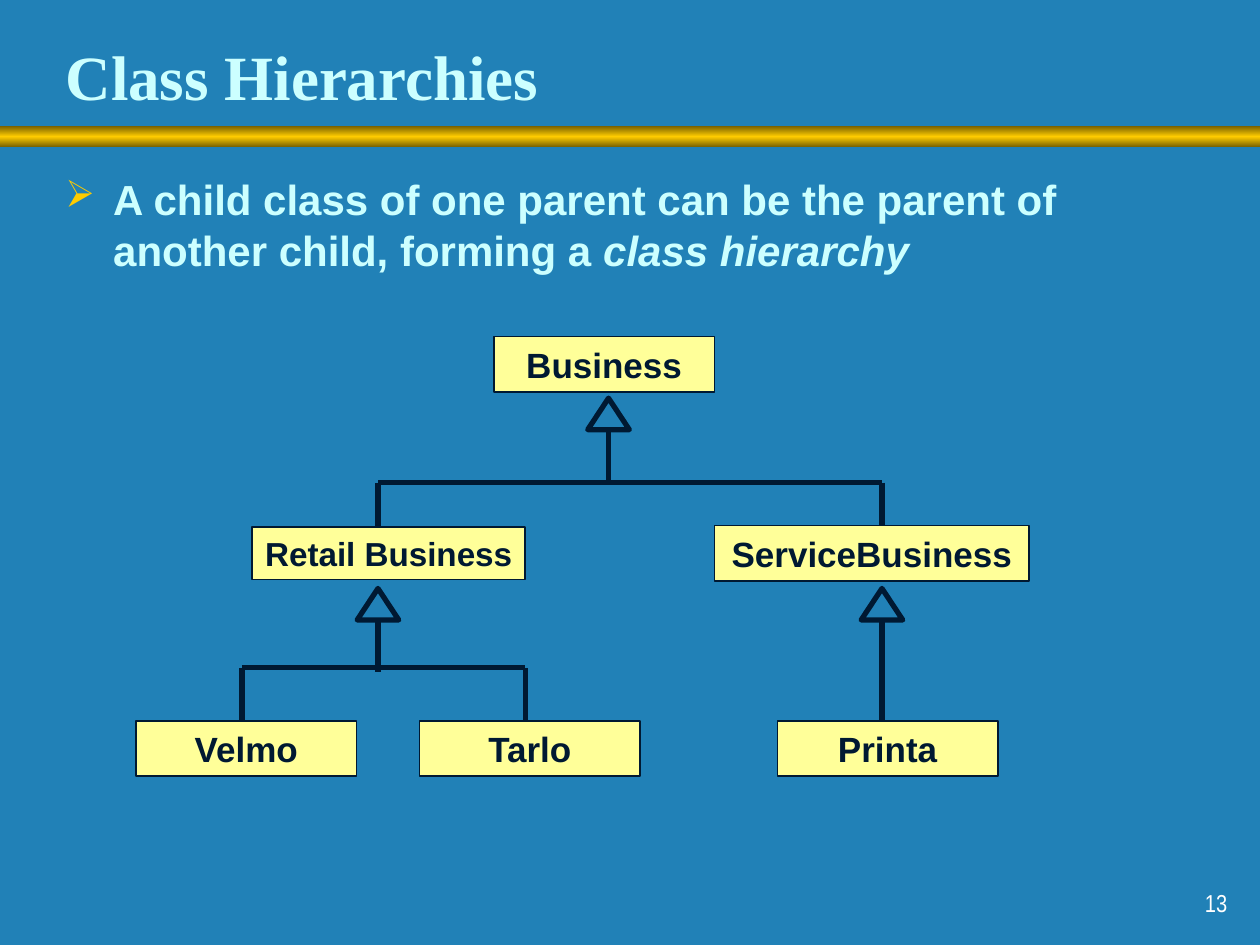
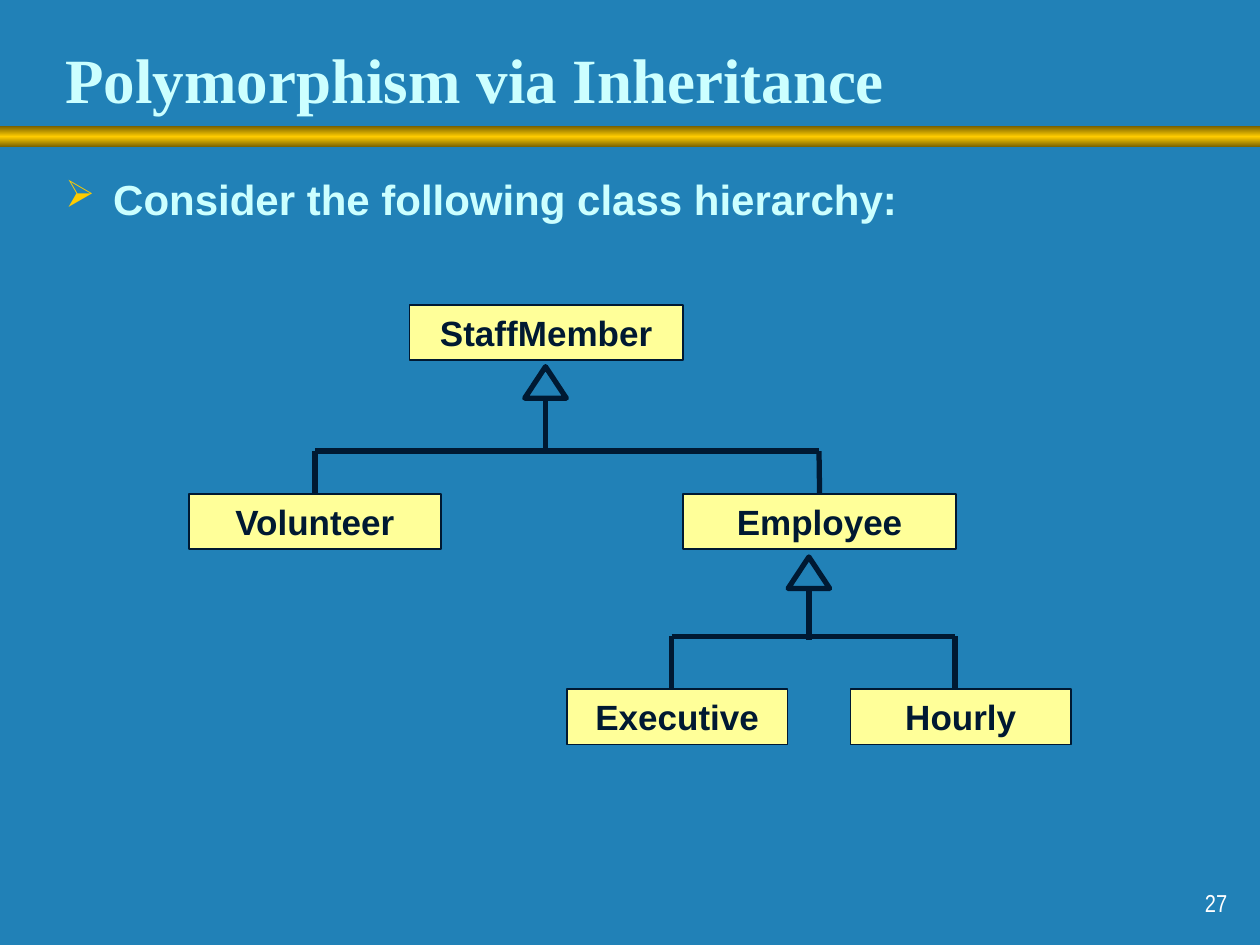
from copy import deepcopy

from lxml import etree
from pptx import Presentation
from pptx.dml.color import RGBColor
from pptx.enum.shapes import MSO_CONNECTOR, MSO_SHAPE
from pptx.enum.text import MSO_ANCHOR, MSO_AUTO_SIZE, PP_ALIGN
from pptx.oxml.ns import qn
from pptx.util import Inches, Pt

STRAIGHT = MSO_CONNECTOR.STRAIGHT
RECTANGLE, TRIANGLE = MSO_SHAPE.RECTANGLE, MSO_SHAPE.ISOSCELES_TRIANGLE
TOP, MIDDLE, BOTTOM = MSO_ANCHOR.TOP, MSO_ANCHOR.MIDDLE, MSO_ANCHOR.BOTTOM
LEFT, CENTER, RIGHT = PP_ALIGN.LEFT, PP_ALIGN.CENTER, PP_ALIGN.RIGHT

BLUE = RGBColor(0x21, 0x81, 0xB7)
PALE = RGBColor(0xCC, 0xFF, 0xFF)
GOLD = RGBColor(0xFF, 0xCC, 0x00)
DARK_GOLD = RGBColor(0x75, 0x5E, 0x00)
YELLOW = RGBColor(0xFF, 0xFF, 0x99)
NAVY = RGBColor(0x00, 0x19, 0x32)
WHITE = RGBColor(0xFF, 0xFF, 0xFF)

# Vertical places in a tree, in inches below its top
ROW_TOPS = (0, 1.5, 3.05)
ARROW_TOPS = (0.49, 2.0)
BAR_TOPS = (1.16, 2.63)
STEM_OVERLAPS = (0, 0.03)
BOX_HEIGHT = 0.44
ARROW_WIDTH, ARROW_HEIGHT = 0.33, 0.25

# classes: name, row, left, width
# branches: parent row, arrow centre, {child: x of its line}
PAGES = [
    {
        "title": "Class Hierarchies",
        "anchor": MIDDLE,
        "body": [("A child class of one parent can be the parent of another "
                  "child, forming a ", False), ("class hierarchy", True)],
        "number": "13",
        "tree_top": 2.67,
        "classes": [
            ("Business", 0, 3.92, 1.75),
            ("Retail Business", 1, 2, 2.17),
            ("ServiceBusiness", 1, 5.67, 2.5),
            ("Velmo", 2, 1.08, 1.75),
            ("Tarlo", 2, 3.33, 1.75),
            ("Printa", 2, 6.17, 1.75),
        ],
        "branches": [
            (0, 4.83, {"Retail Business": 3, "ServiceBusiness": 7}),
            (1, 3, {"Velmo": 1.92, "Tarlo": 4.17}),
            (1, 7, {"Printa": 7}),
        ],
    },
    {
        "title": "Polymorphism via Inheritance",
        "anchor": BOTTOM,
        "body": [("Consider the following class hierarchy:", False)],
        "number": "27",
        "tree_top": 2.42,
        "classes": [
            ("StaffMember", 0, 3.25, 2.17),
            ("Volunteer", 1, 1.5, 2),
            ("Employee", 1, 5.42, 2.17),
            ("Executive", 2, 4.5, 1.75),
            ("Hourly", 2, 6.75, 1.75),
        ],
        "branches": [
            (0, 4.33, {"Volunteer": 2.5, "Employee": 6.5}),
            (1, 6.42, {"Executive": 5.33, "Hourly": 7.58}),
        ],
    },
]
# Classes whose box is a little smaller: top offset, height, text size
SMALLER = {"Retail Business": (0.01, 0.42, 19)}


def place(shape, left, top, width, height):
    shape.left, shape.top = Inches(left), Inches(top)
    shape.width, shape.height = Inches(width), Inches(height)


def style_text(shape, anchor, align, font_name, size, color, bold=True):
    frame = shape.text_frame
    frame.word_wrap = True
    frame.auto_size = MSO_AUTO_SIZE.NONE
    frame.vertical_anchor = anchor
    for para in frame.paragraphs:
        para.alignment = align
        for span in para.runs:
            font = span.font
            font.name, font.size, font.bold = font_name, Pt(size), bold
            font.color.rgb = color


def add_band(slide):
    band = slide.shapes.add_shape(RECTANGLE, 0, Inches(1), Inches(10), Inches(0.17))
    band.shadow.inherit = False
    band.line.fill.background()
    band.fill.gradient()
    band.fill.gradient_angle = 90
    stop_list = next(band.element.iter(qn("a:gsLst")))
    stop_list.append(deepcopy(stop_list[-1]))
    colors = (DARK_GOLD, GOLD, DARK_GOLD)
    for stop, position, color in zip(band.fill.gradient_stops, (0, 0.5, 1), colors):
        stop.position = position
        stop.color.rgb = color


def add_bullet(para):
    properties = para._p.get_or_add_pPr()
    properties.set("marL", str(Inches(0.38)))
    properties.set("indent", str(-Inches(0.38)))
    color = etree.SubElement(properties, qn("a:buClr"))
    etree.SubElement(color, qn("a:srgbClr"), val=str(GOLD))
    etree.SubElement(properties, qn("a:buSzPct"), val="90000")
    etree.SubElement(properties, qn("a:buChar"), char="➢")


def add_body(slide, spans):
    box = slide.shapes.add_textbox(0, 0, 0, 0)
    place(box, 0.42, 1.33, 9.08, 5.36)
    para = box.text_frame.paragraphs[0]
    add_bullet(para)
    for text, italic in spans:
        span = para.add_run()
        span.text = text
        span.font.italic = italic
    style_text(box, TOP, LEFT, "Arial", 24, PALE)


def add_page_number(slide, number):
    box = slide.shapes.add_textbox(0, 0, 0, 0)
    place(box, 7.76, 6.83, 2.08, 0.5)
    box.text_frame.text = number
    style_text(box, BOTTOM, RIGHT, "Arial Narrow", 14, WHITE, bold=False)


def add_class(slide, name, left, top, width):
    offset, height, size = SMALLER.get(name, (0, BOX_HEIGHT, 20))
    box = slide.shapes.add_shape(RECTANGLE, 0, 0, 0, 0)
    place(box, left, top + offset, width, height)
    box.shadow.inherit = False
    box.fill.solid()
    box.fill.fore_color.rgb = YELLOW
    box.line.color.rgb = NAVY
    box.line.width = Pt(1)
    box.text_frame.text = name
    style_text(box, MIDDLE, CENTER, "Arial", size, NAVY)
    return box


def add_line(slide, x1, y1, x2, y2):
    line = slide.shapes.add_connector(
        STRAIGHT, Inches(x1), Inches(y1), Inches(x2), Inches(y2))
    line.line.color.rgb = NAVY
    line.line.width = Pt(3)
    etree.SubElement(line.element.spPr, qn("a:effectLst"))
    return line


def add_line_to_child(slide, x, top, child):
    """Drop a line to the child's top edge, joined when it meets the middle."""
    line = add_line(slide, x, top, x, child.top / Inches(1))
    if abs(child.left + child.width / 2 - Inches(x)) < Inches(0.01):
        line.end_connect(child, 0)


def add_arrow(slide, center, top):
    arrow = slide.shapes.add_shape(TRIANGLE, 0, 0, 0, 0)
    place(arrow, center - ARROW_WIDTH / 2, top, ARROW_WIDTH, ARROW_HEIGHT)
    arrow.shadow.inherit = False
    arrow.fill.background()
    arrow.line.color.rgb = NAVY
    arrow.line.width = Pt(3)


def add_tree(slide, top, classes, branches):
    boxes = {name: add_class(slide, name, left, top + ROW_TOPS[row], width)
             for name, row, left, width in classes}
    for row, center, children in branches:
        arrow_top = top + ARROW_TOPS[row]
        stem_top = arrow_top + ARROW_HEIGHT
        add_arrow(slide, center, arrow_top)
        drop_top = stem_top
        if len(children) > 1:
            drop_top = top + BAR_TOPS[row]
            add_line(slide, center, stem_top, center, drop_top + STEM_OVERLAPS[row])
            add_line(slide, min(children.values()), drop_top,
                     max(children.values()), drop_top)
        for name, x in children.items():
            add_line_to_child(slide, x, drop_top, boxes[name])


def add_page(deck, page):
    slide = deck.slides.add_slide(deck.slide_layouts[5])
    add_band(slide)
    title = slide.shapes.title
    place(title, 0.42, 0.22, 8.55, 0.75)
    title.text_frame.text = page["title"]
    style_text(title, page["anchor"], LEFT, "Times New Roman", 36, PALE)
    add_body(slide, page["body"])
    add_tree(slide, page["tree_top"], page["classes"], page["branches"])
    add_page_number(slide, page["number"])


def main():
    deck = Presentation()
    deck.slide_width, deck.slide_height = Inches(10), Inches(7.5)
    background = deck.slide_master.background.fill
    background.solid()
    background.fore_color.rgb = BLUE
    for page in PAGES:
        add_page(deck, page)
    deck.save("out.pptx")


if __name__ == "__main__":
    main()
